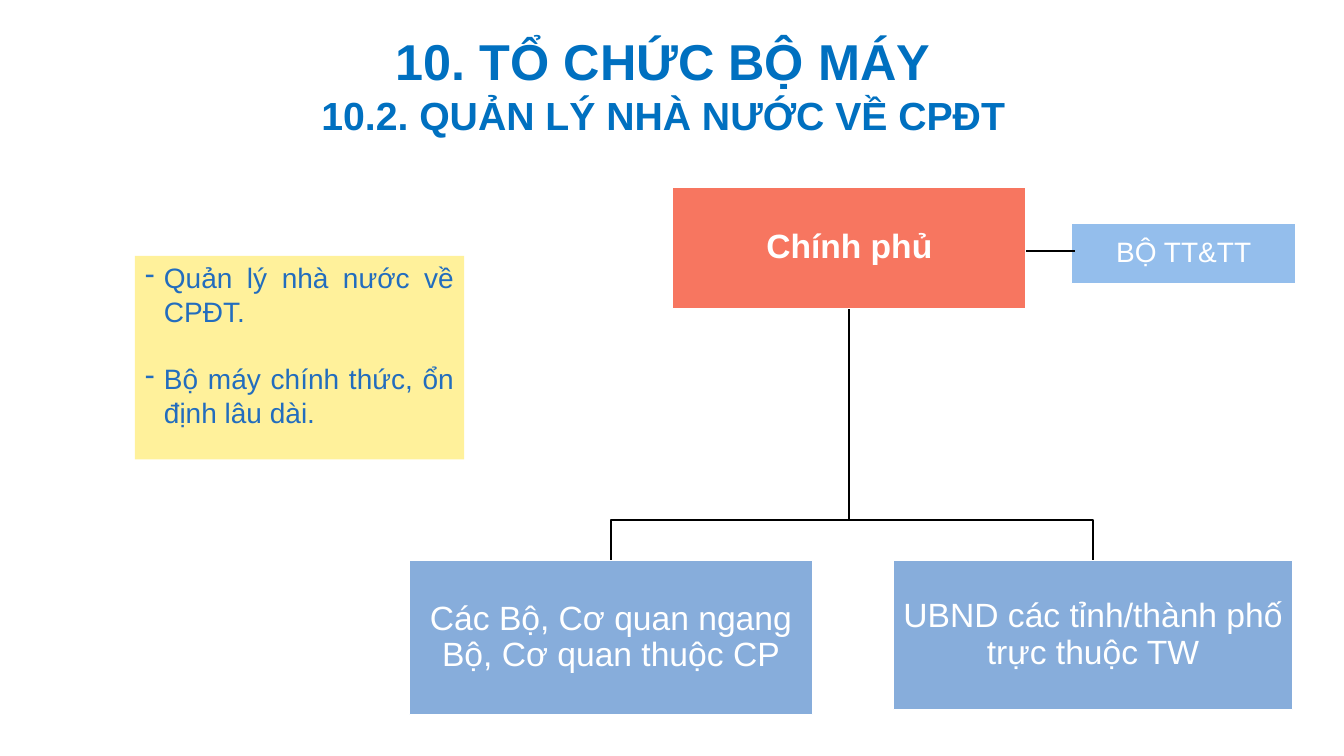
from lxml import etree
from pptx import Presentation
from pptx.dml.color import RGBColor
from pptx.enum.shapes import MSO_CONNECTOR, MSO_SHAPE
from pptx.enum.text import MSO_ANCHOR, MSO_AUTO_SIZE, PP_ALIGN
from pptx.oxml.ns import qn
from pptx.util import Pt

CENTER, JUSTIFY = PP_ALIGN.CENTER, PP_ALIGN.JUSTIFY
TOP, MIDDLE = MSO_ANCHOR.TOP, MSO_ANCHOR.MIDDLE
RECTANGLE, STRAIGHT = MSO_SHAPE.RECTANGLE, MSO_CONNECTOR.STRAIGHT
NO_AUTOFIT = MSO_AUTO_SIZE.NONE

COLORS = {
    "title": "0070C0", "note": "FFF19B", "note_text": "226DBE",
    "government": "F77660", "agency": "87ADDB", "ministry": "94BEEC",
    "white": "FFFFFF", "black": "000000",
}
TITLE_LINES = [("10. TỔ CHỨC BỘ MÁY", 36), ("10.2. QUẢN LÝ NHÀ NƯỚC VỀ CPĐT", 28)]
TITLE_AREA = (133.2, 21.7, 681, 75)
NOTES = ["Quản lý nhà nước về CPĐT.", "Bộ máy chính thức, ổn định lâu dài."]
NOTE_AREA = (96.4, 182.8, 235.2, 145.4)
GOVERNMENT = ("Chính phủ", (480.4, 134, 252.6, 86.4), "government", 24, True)
MINISTRY = ("BỘ TT&TT", (765.3, 159.5, 160.4, 43.2), "ministry", 20, False)
AGENCIES = [
    ("Các Bộ, Cơ quan ngang Bộ, Cơ quan thuộc CP",
     (292.4, 400.4, 288, 110.2), "agency", 24, False),
    ("UBND các tỉnh/thành phố trực thuộc TW",
     (638.2, 400.4, 285.1, 106.6), "agency", 24, False),
]
BRANCH_Y = 371.4
LINK_Y = 179.4
LINK_OVERLAP = 2.6


def color(name):
    return RGBColor.from_string(COLORS[name])


def write(para, text, size, fill, bold=False, align=CENTER, spacing=1.0, gap=0):
    para.alignment, para.line_spacing = align, spacing
    para.space_before = para.space_after = Pt(gap)
    span = para.add_run()
    span.text = text
    span.font.name, span.font.size, span.font.bold = "Arial", Pt(size), bold
    span.font.color.rgb = color(fill)


def set_frame(frame, anchor, side, top):
    frame.word_wrap = True
    frame.auto_size = NO_AUTOFIT
    frame.vertical_anchor = anchor
    frame.margin_left = frame.margin_right = Pt(side)
    frame.margin_top = frame.margin_bottom = Pt(top)


def place(shape, area):
    shape.left, shape.top, shape.width, shape.height = map(Pt, area)


def next_para(frame, index):
    return frame.add_paragraph() if index else frame.paragraphs[0]


def add_dash(para):
    props = para._p.get_or_add_pPr()
    props.set("marL", str(Pt(13.5)))
    props.set("indent", str(-Pt(13.5)))
    etree.SubElement(props, qn("a:buFontTx"))
    etree.SubElement(props, qn("a:buChar")).set("char", "-")


def add_box(page, text, area, fill, size, bold):
    box = page.shapes.add_shape(RECTANGLE, *map(Pt, area))
    box.shadow.inherit = False
    box.fill.solid()
    box.fill.fore_color.rgb = color(fill)
    box.line.color.rgb = color("white")
    box.line.width = Pt(1)
    set_frame(box.text_frame, MIDDLE, 1.4, 1.4)
    write(box.text_frame.paragraphs[0], text, size, "white", bold, spacing=0.9)


def style_line(line):
    line.color.rgb = color("black")
    line.width = Pt(1.5)


def add_branch(page, parent, child):
    parent_x, child_x = (area[0] + area[2] / 2 for area in (parent, child))
    points = [(parent_x, BRANCH_Y), (child_x, BRANCH_Y), (child_x, child[1])]
    builder = page.shapes.build_freeform(Pt(parent_x), Pt(parent[1] + parent[3]))
    builder.add_line_segments([(Pt(x), Pt(y)) for x, y in points], close=False)
    branch = builder.convert_to_shape()
    branch.shadow.inherit = False
    branch.fill.background()
    style_line(branch.line)


def main():
    deck = Presentation()
    deck.slide_width, deck.slide_height = Pt(960), Pt(540)
    page = deck.slides.add_slide(deck.slide_layouts[1])
    title, body = page.placeholders

    place(title, TITLE_AREA)
    set_frame(title.text_frame, TOP, 7.2, 0)
    for index, (text, size) in enumerate(TITLE_LINES):
        write(next_para(title.text_frame, index), text, size, "title", bold=True)

    place(body, NOTE_AREA)
    body.fill.solid()
    body.fill.fore_color.rgb = color("note")
    set_frame(body.text_frame, TOP, 7.2, 3.6)
    for index, text in enumerate(NOTES):
        para = next_para(body.text_frame, index)
        write(para, text, 20, "note_text", align=JUSTIFY, gap=12)
        add_dash(para)

    for agency in AGENCIES:
        add_branch(page, GOVERNMENT[1], agency[1])
    for unit in [GOVERNMENT, *AGENCIES, MINISTRY]:
        add_box(page, *unit)

    start = GOVERNMENT[1][0] + GOVERNMENT[1][2]
    end = MINISTRY[1][0] + LINK_OVERLAP
    link = page.shapes.add_connector(
        STRAIGHT, Pt(start), Pt(LINK_Y), Pt(end), Pt(LINK_Y))
    style_line(link.line)
    etree.SubElement(link._element.spPr, qn("a:effectLst"))

    deck.save("out.pptx")


if __name__ == "__main__":
    main()
